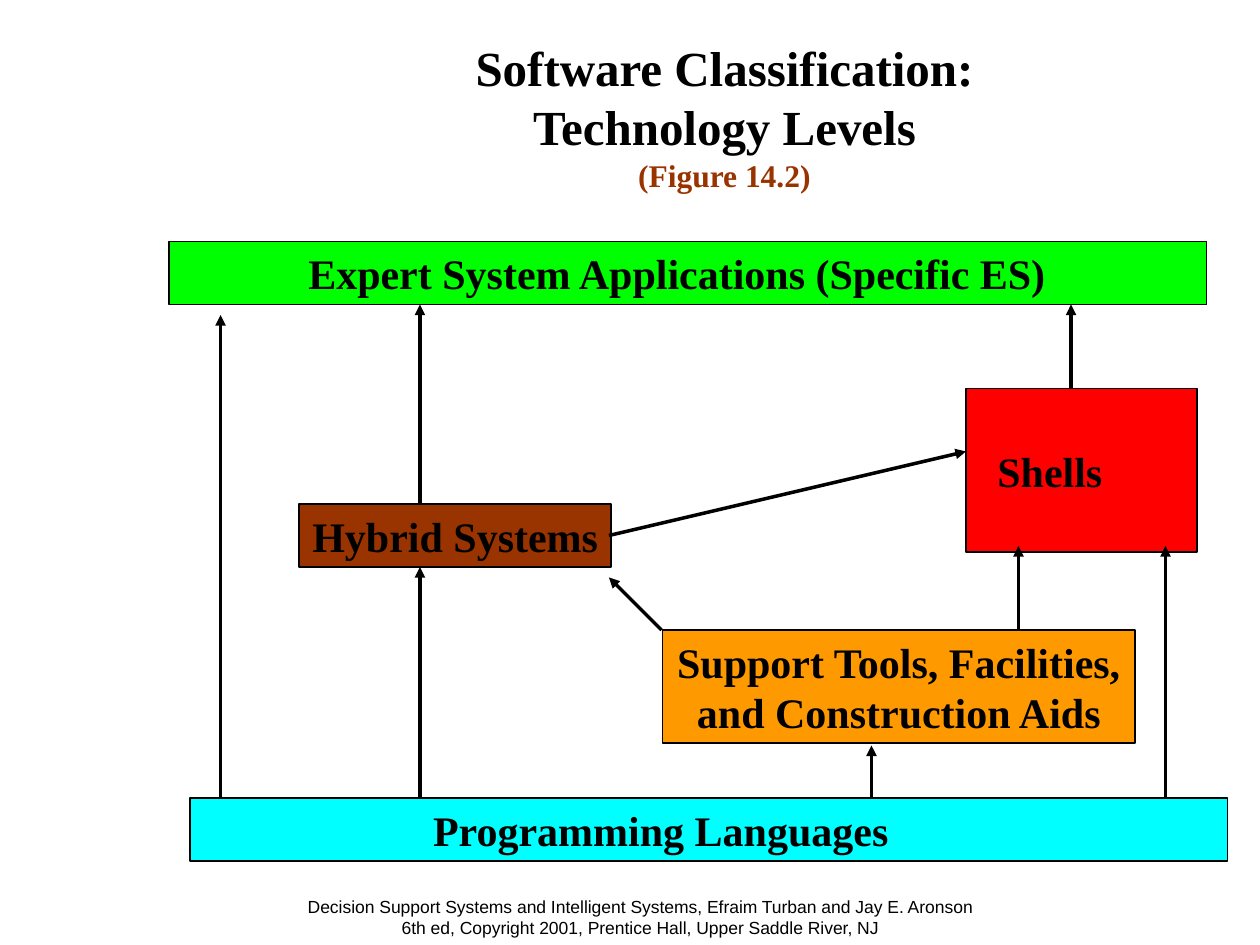
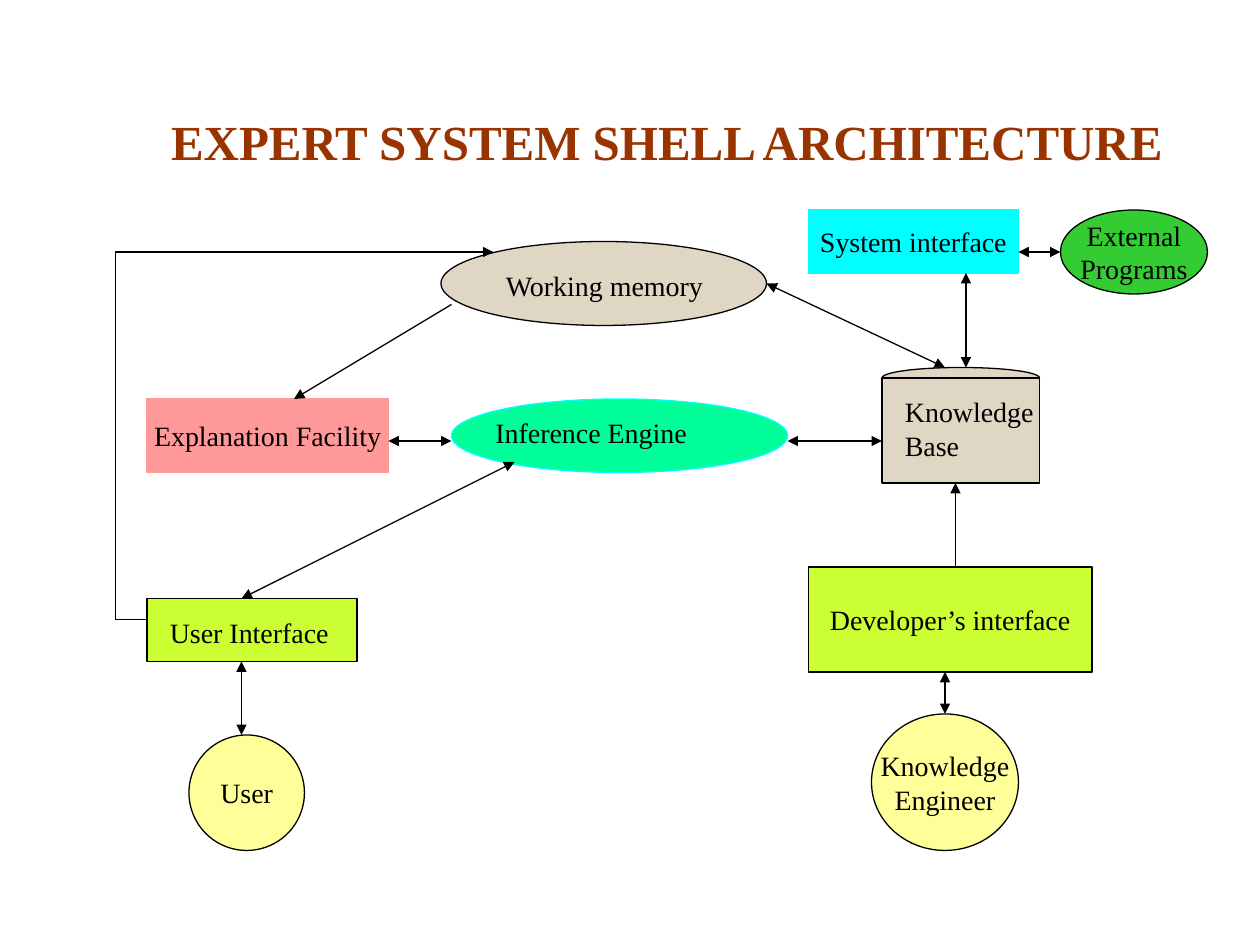
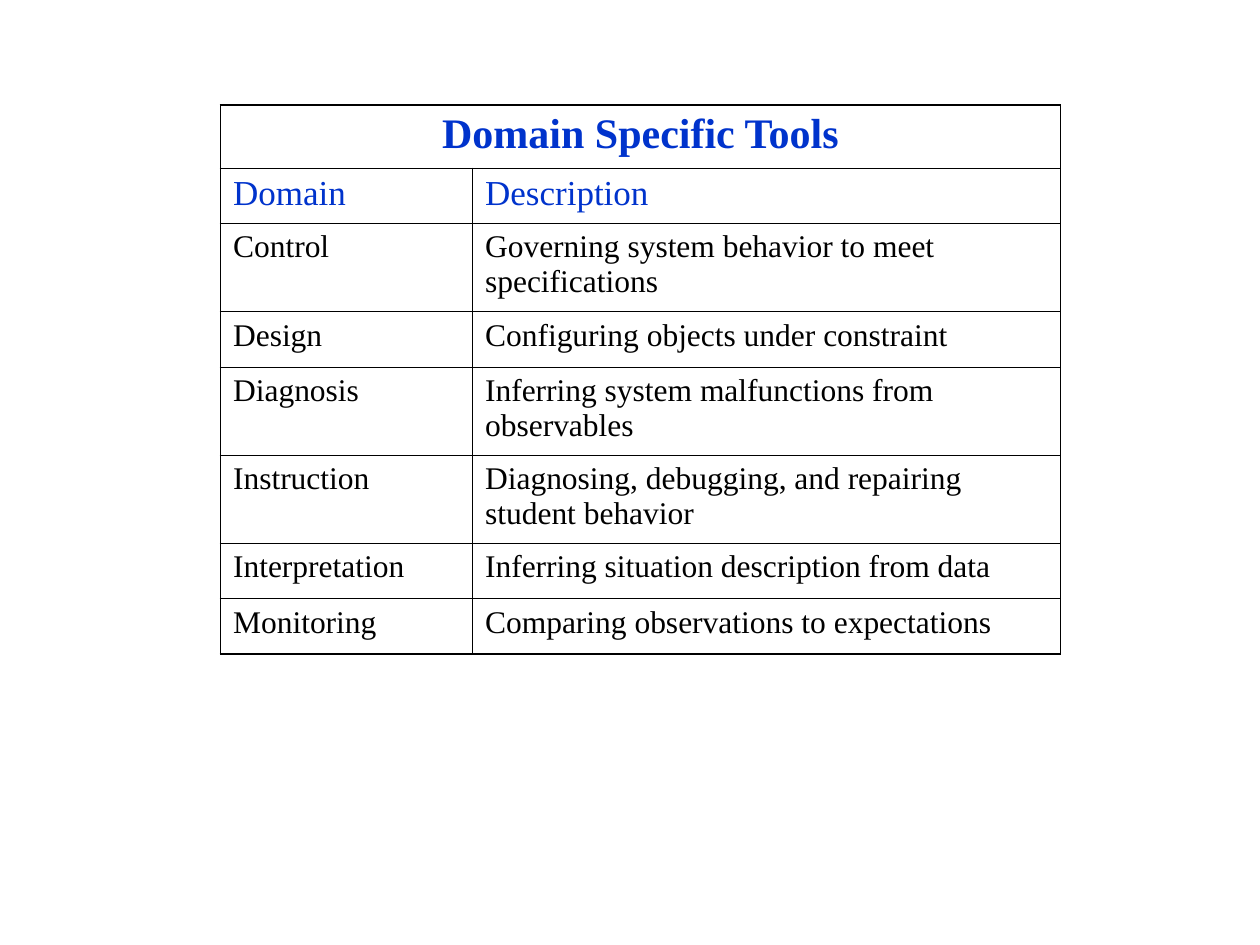
from lxml.etree import SubElement
from pptx import Presentation
from pptx.dml.color import RGBColor
from pptx.enum.shapes import MSO_CONNECTOR, MSO_SHAPE
from pptx.enum.text import MSO_ANCHOR as ANCHOR, PP_ALIGN as ALIGN
from pptx.oxml.ns import qn
from pptx.util import Emu, Inches, Pt

COLUMNS, ROWS = 120, 90
UNIT = Inches(10) / COLUMNS

BLACK, BROWN, BLUE = "000000", "993300", "0033CC"
CYAN, LIME, SAND, CREAM = "00FFFF", "CCFF33", "DFD6C3", "FFFF99"

BODY = {"name": "Times New Roman", "size": Pt(16), "bold": False}
STRONG = {**BODY, "size": Pt(24), "bold": True}
TITLE = {**STRONG, "size": Pt(28)}
FIGURE = {**STRONG, "size": Pt(18)}
SOURCE = {**BODY, "name": "Arial", "size": Pt(10)}

RECT, OVAL = MSO_SHAPE.RECTANGLE, MSO_SHAPE.OVAL


def color(value):
    return RGBColor.from_string(value)


def grid(*counts):
    return [Emu(round(count * UNIT)) for count in counts]


def write(frame, lines, look=BODY, ink=BLACK, align=ALIGN.CENTER):
    for index, line in enumerate(lines):
        para = frame.paragraphs[0] if index == 0 else frame.add_paragraph()
        para.alignment = align
        span = para.add_run()
        span.text = line
        for key, value in look.items():
            setattr(span.font, key, value)
        span.font.color.rgb = color(ink)


def add_text(page, place, lines, look=BODY, ink=BLACK, align=ALIGN.LEFT,
             anchor=ANCHOR.TOP, wrap=True):
    frame = page.shapes.add_textbox(*grid(*place)).text_frame
    frame.word_wrap = wrap
    frame.vertical_anchor = anchor
    write(frame, lines, look, ink, align)
    return frame


def add_box(page, kind, place, fill, lines=(), look=BODY, edge=BLACK,
            weight=0.75, shift=0):
    box = page.shapes.add_shape(kind, *grid(*place))
    box.shadow.inherit = False
    box.fill.solid()
    box.fill.fore_color.rgb = color(fill)
    box.line.color.rgb = color(edge)
    box.line.width = Pt(weight)
    frame = box.text_frame
    frame.word_wrap = False
    frame.vertical_anchor = ANCHOR.MIDDLE
    frame.margin_right = Inches(0.1 + shift)
    write(frame, lines, look)


def add_line(page, ends, weight=0.75, heads=("tailEnd",)):
    line = page.shapes.add_connector(MSO_CONNECTOR.STRAIGHT, *grid(*ends))
    line.line.color.rgb = color(BLACK)
    line.line.width = Pt(weight)
    for head in heads:
        SubElement(line.line._ln, qn(f"a:{head}"), type="triangle")
    SubElement(line._element.spPr, qn("a:effectLst"))


def add_borders(cell, widths):
    properties = cell._tc.get_or_add_tcPr()
    for side, width in zip("LRTB", widths):
        border = SubElement(properties, qn(f"a:ln{side}"), w=str(Pt(width)))
        fill = SubElement(border, qn("a:solidFill"))
        SubElement(fill, qn("a:srgbClr"), val=BLACK)


def technology_levels(page):
    title = add_text(page, (18, 4, 102, 15),
                     ["Software Classification:", "Technology Levels"],
                     TITLE, align=ALIGN.CENTER, anchor=ANCHOR.BOTTOM)
    caption = title.add_paragraph()
    caption.alignment = ALIGN.CENTER
    span = caption.add_run()
    span.text = "(Figure 14.2)"
    for key, value in FIGURE.items():
        setattr(span.font, key, value)
    span.font.color.rgb = color(BROWN)

    levels = [
        ((16.1, 23, 98.8, 6), "00FF00", ["Expert System Applications (Specific ES)"], 0.17),
        ((92, 37, 22, 15.6), "FF0000", ["Shells"], 0.5),
        ((28.5, 48, 29.7, 6), BROWN, ["Hybrid Systems"], 0),
        ((63.1, 60, 45, 10.8), "FF9900",
         ["Support Tools, Facilities,", "and Construction Aids"], 0),
        ((18.1, 76, 98.8, 6), CYAN, ["Programming Languages"], 0.76),
    ]
    for place, fill, lines, shift in levels:
        add_box(page, RECT, place, fill, lines, STRONG, weight=1, shift=shift)

    rises = [(40, 76, 54), (21, 76, 30), (40, 48, 29), (111, 76, 52),
             (97, 60, 52), (83, 76, 71), (102, 37, 29)]
    slants = [(58, 51, 92, 43), (63, 60, 58, 55)]
    for ends in [(x, low, x, high) for x, low, high in rises] + slants:
        add_line(page, ends, weight=2)

    add_text(page, (28, 84.7, 65.9, 5.3),
             ["Decision Support Systems and Intelligent Systems, Efraim Turban and Jay E. Aronson",
              "6th ed, Copyright 2001, Prentice Hall, Upper Saddle River, NJ"],
             SOURCE, align=ALIGN.CENTER, wrap=False)


def shell_architecture(page):
    add_text(page, (11, 10, 105, 6.8), ["EXPERT SYSTEM SHELL ARCHITECTURE"],
             TITLE, BROWN, ALIGN.CENTER)

    parts = [
        (OVAL, (43, 38, 32, 7), "00FF99", CYAN, []),
        (OVAL, (42, 23, 31, 8), SAND, BLACK, []),
        (RECT, (14, 38, 23, 7), "FF9999", "FF9999", ["Explanation Facility"]),
        (OVAL, (84, 35, 15, 2), SAND, BLACK, []),
        (RECT, (84, 36, 15, 10), SAND, BLACK, []),
        (RECT, (14, 57, 20, 6), LIME, BLACK, []),
        (RECT, (77, 54, 27, 10), LIME, BLACK, ["Developer’s interface"]),
        (OVAL, (18, 70, 11, 11), CREAM, BLACK, ["User"]),
        (OVAL, (83, 68, 14, 13), CREAM, BLACK, ["Knowledge", "Engineer"]),
        (RECT, (77, 20, 20, 6), CYAN, CYAN, ["System interface"]),
        (OVAL, (101, 20, 14, 8), "33CC33", BLACK, ["External", "Programs"]),
    ]
    for kind, place, fill, edge, lines in parts:
        add_box(page, kind, place, fill, lines, edge=edge)

    labels = [
        ((46, 39, 31, 4.4), "Inference Engine"),
        ((47, 25, 26, 4.4), "Working memory"),
        ((85, 37, 16, 12.5), "Knowledge Base"),
        ((15, 58, 18, 4.4), "User Interface"),
    ]
    for place, label in labels:
        add_text(page, place, [label])

    links = {
        ("headEnd", "tailEnd"): [
            (73, 27, 90, 35), (49, 44, 23, 57), (90, 68, 90, 64),
            (23, 63, 23, 70), (75, 42, 84, 42), (37, 42, 43, 42),
            (92, 26, 92, 35), (97, 24, 101, 24)],
        ("tailEnd",): [(43, 29, 28, 38), (91, 54, 91, 46), (11, 24, 47, 24)],
        (): [(14, 59, 11, 59), (11, 59, 11, 24)],
    }
    for heads, routes in links.items():
        for ends in routes:
            add_line(page, ends, heads=heads)


def domain_tools(page):
    records = [
        ("Domain Specific Tools", ""),
        ("Domain", "Description"),
        ("Control", "Governing system behavior to meet specifications"),
        ("Design", "Configuring objects under constraint"),
        ("Diagnosis", "Inferring system malfunctions from observables"),
        ("Instruction", "Diagnosing, debugging, and repairing student behavior"),
        ("Interpretation", "Inferring situation description from data"),
        ("Monitoring", "Comparing observations to expectations"),
    ]
    heights = [0.5, 0.44, 0.7, 0.44, 0.7, 0.7, 0.44, 0.44]
    looks = [(STRONG, BLUE), ({**BODY, "size": Pt(20)}, BLUE)]
    looks += [({**BODY, "size": Pt(18)}, BLACK)] * (len(records) - 2)
    outer, inner = 1.08, 0.45

    table = page.shapes.add_table(len(records), 2, *grid(21, 10, 80, 52.5)).table
    table.first_row = table.horz_banding = False
    for column, width in zip(table.columns, grid(24, 56)):
        column.width = width
    table.cell(0, 0).merge(table.cell(0, 1))

    last = len(records) - 1
    for r, (record, height, (look, ink)) in enumerate(zip(records, heights, looks)):
        table.rows[r].height = Inches(height)
        for c, words in enumerate(record):
            cell = table.cell(r, c)
            on_edge = (c == 0, c == 1 or r == 0, r == 0, r == last)
            add_borders(cell, [outer if edge else inner for edge in on_edge])
            cell.fill.background()
            if words:
                align = ALIGN.CENTER if r == 0 else ALIGN.LEFT
                write(cell.text_frame, [words], look, ink, align)


def main():
    deck = Presentation()
    deck.slide_width, deck.slide_height = grid(COLUMNS, ROWS)
    for build in (technology_levels, shell_architecture, domain_tools):
        build(deck.slides.add_slide(deck.slide_layouts[6]))
    deck.save("out.pptx")


if __name__ == "__main__":
    main()
